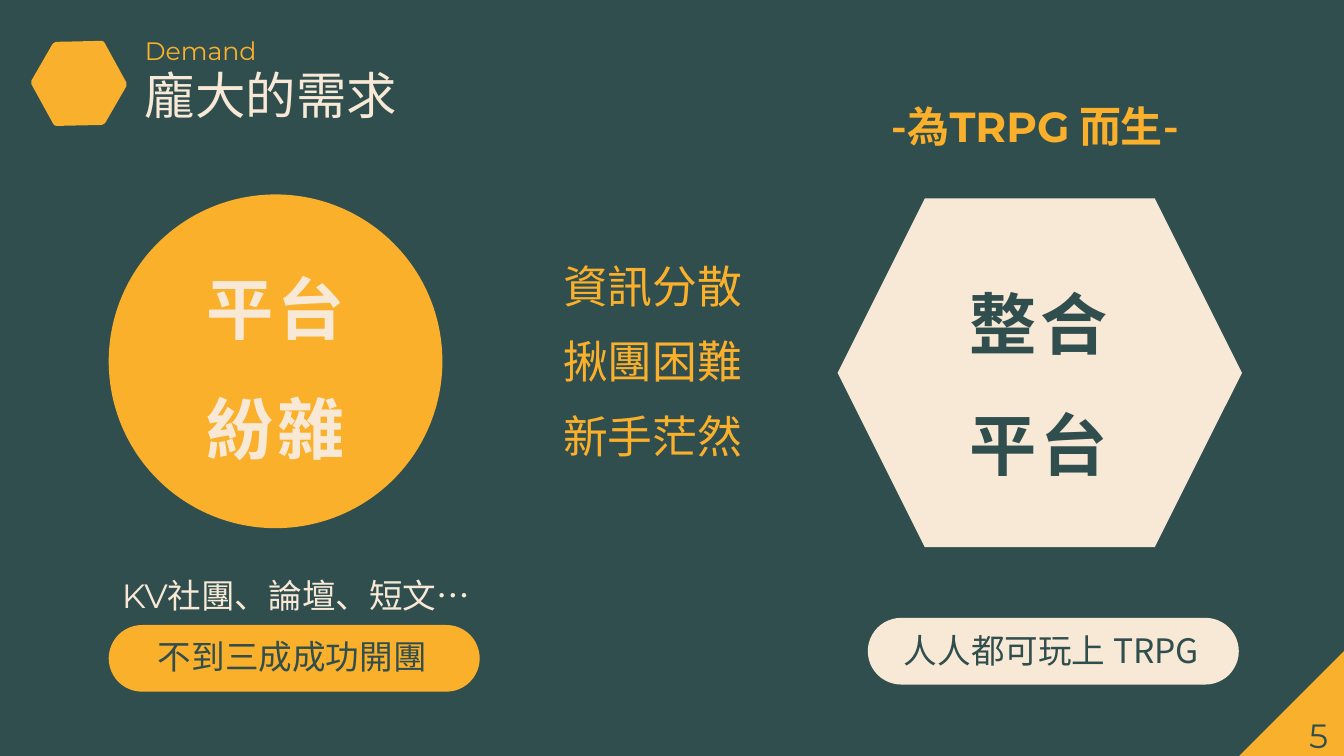
from lxml.etree import SubElement
from pptx import Presentation
from pptx.dml.color import RGBColor
from pptx.enum.shapes import MSO_SHAPE as SHAPE
from pptx.enum.text import MSO_ANCHOR as ANCHOR, MSO_AUTO_SIZE as AUTO_SIZE, PP_ALIGN as ALIGN
from pptx.oxml.ns import qn
from pptx.util import Cm, Pt

COLORS = {"green": "304E4E", "amber": "FBB02B", "gold": "F9B02D", "cream": "F8E9D6"}
CJK, LATIN = "Noto Sans CJK JP", "Montserrat"


def color(name):
    return RGBColor.from_string(COLORS[name])


def write(paragraph, text, size=24, ink="green", font=CJK, bold=False, spacing=0):
    run = paragraph.add_run()
    run.text = text
    run.font.size, run.font.name, run.font.bold = Pt(size), font, bold
    run.font.color.rgb = color(ink)
    properties = run.font._element
    SubElement(properties, qn("a:ea")).set("typeface", font)
    if spacing:
        properties.set("spc", str(spacing * 100))


class DemandSlide:
    """Holds the palette-styled slide and adds its elements in centimetres."""

    def __init__(self, deck):
        self.slide = deck.slides.add_slide(deck.slide_layouts[1])
        background = self.slide.background.fill
        background.solid()
        background.fore_color.rgb = color("green")

    def paint(self, shape, fill):
        shape.fill.solid()
        shape.fill.fore_color.rgb = color(fill)
        shape.line.fill.background()
        shape.shadow.inherit = False
        return shape

    def shape(self, kind, box, fill, adjust=None, rotation=0):
        shape = self.slide.shapes.add_shape(kind, *map(Cm, box))
        if adjust is not None:
            shape.adjustments[0] = adjust
        shape.rotation = rotation
        return self.paint(shape, fill)

    def corner(self, points, fill):
        start, *rest = [(Cm(x), Cm(y)) for x, y in points]
        builder = self.slide.shapes.build_freeform(*start, scale=1.0)
        builder.add_line_segments(rest, close=True)
        return self.paint(builder.convert_to_shape(), fill)

    def text(self, box, *lines, align=ALIGN.LEFT, line_spacings=(None,), **style):
        frame = self.slide.shapes.add_textbox(*map(Cm, box)).text_frame
        frame.word_wrap = True
        frame.auto_size = AUTO_SIZE.SHAPE_TO_FIT_TEXT
        for index, (line, line_spacing) in enumerate(zip(lines, line_spacings)):
            paragraph = frame.add_paragraph() if index else frame.paragraphs[0]
            paragraph.alignment = align
            paragraph.line_spacing = line_spacing
            for text, font in [(line, CJK)] if isinstance(line, str) else line:
                write(paragraph, text, **{"font": font, **style})
        return frame

    def placeholder(self, number, box, lines, align, gap=0, **style):
        holder = self.slide.placeholders[number]
        holder.left, holder.top, holder.width, holder.height = map(Cm, box)
        frame = holder.text_frame
        frame.word_wrap = True
        frame.auto_size = AUTO_SIZE.NONE
        frame.vertical_anchor = ANCHOR.TOP
        for index, line in enumerate(lines):
            paragraph = frame.add_paragraph() if index else frame.paragraphs[0]
            paragraph.alignment = align
            paragraph.space_before = Pt(gap if index else 0)
            properties = paragraph._p.get_or_add_pPr()
            properties.set("marL", "0")
            properties.set("indent", "0")
            SubElement(properties, qn("a:buNone"))
            write(paragraph, line, **style)
        return holder


def main():
    deck = Presentation()
    deck.slide_width, deck.slide_height = Cm(33.87), Cm(19.05)
    demand = DemandSlide(deck)

    demand.placeholder(0, (3.4, 1.5, 8.05, 1.8), ["龐大的需求"], ALIGN.LEFT,
                       size=36, ink="cream")
    demand.placeholder(1, (13.67, 6.4, 5.56, 6.4), ["資訊分散", "揪團困難", "新手茫然"],
                       ALIGN.CENTER, gap=15, size=32, ink="amber")
    demand.text((3.4, 0.76, 6.02, 1.02), "Demand", size=18, ink="gold", font=LATIN)

    emblem = demand.shape(SHAPE.HEXAGON, (0.86, 1.12, 2.26, 1.96), "gold", 0.303, 300)
    emblem.line.color.rgb = color("gold")
    emblem.line.width = Pt(5.25)
    SubElement(emblem.line._ln, qn("a:round"))

    demand.corner([(31.23, 19.05), (33.87, 16.41), (33.87, 19.05)], "gold")
    page_number = demand.text((32.74, 17.88, 1.13, 1.27), "5", font=LATIN)
    page_number.margin_right = 0

    headline = {"align": ALIGN.CENTER, "size": 48, "bold": True, "spacing": 3}
    demand.shape(SHAPE.OVAL, (2.74, 4.9, 8.41, 8.41), "amber")
    demand.text((2.51, 6.6, 8.86, 5.38), "平台", "紛雜",
                line_spacings=(None, 1.5), ink="cream", **headline)
    demand.shape(SHAPE.HEXAGON, (21.11, 5, 10.19, 8.79), "cream")
    demand.text((21.74, 5.97, 8.86, 6.4), "整合", "平台", line_spacings=(1.5, 1.5), **headline)

    demand.text((2.82, 14.35, 9.93, 1.27), [("KV", LATIN), ("社團、論壇、短文…", CJK)],
                ink="cream")
    demand.text((22.23, 2.41, 9.22, 1.55), [("-為", CJK), ("TRPG", LATIN), (" 而生-", CJK)],
                size=30, ink="amber", bold=True)

    for left, top, fill, text_left, text_top, result in (
        (2.74, 15.75, "amber", 3.73, 15.9, "不到三成成功開團"),
        (21.87, 15.57, "cream", 22.53, 15.75, "人人都可玩上 TRPG"),
    ):
        demand.shape(SHAPE.ROUNDED_RECTANGLE, (left, top, 9.35, 1.68), fill, 0.5)
        demand.text((text_left, text_top, 9.7, 1.27), result)

    deck.save("out.pptx")


if __name__ == "__main__":
    main()
